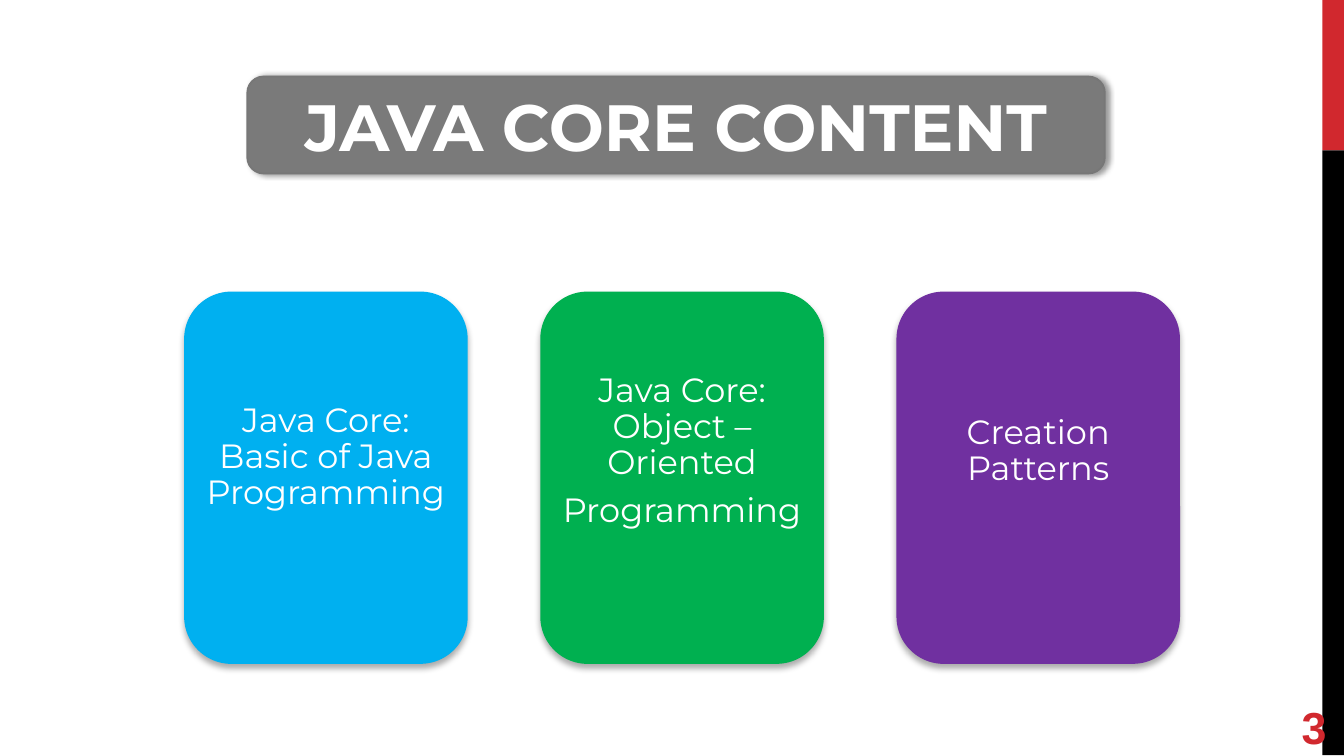
from lxml import etree
from pptx import Presentation
from pptx.dml.color import RGBColor
from pptx.enum.shapes import MSO_SHAPE
from pptx.enum.text import MSO_ANCHOR, PP_ALIGN
from pptx.oxml.ns import qn
from pptx.util import Inches, Pt

RECT, ROUNDED = MSO_SHAPE.RECTANGLE, MSO_SHAPE.ROUNDED_RECTANGLE
MIDDLE = MSO_ANCHOR.MIDDLE
CENTER, RIGHT = PP_ALIGN.CENTER, PP_ALIGN.RIGHT
RED, WHITE = "D1282E", "FFFFFF"


def color(value):
    return RGBColor.from_string(value)


def add_shadow(shape, opacity, blur, distance, angle):
    shape.shadow.inherit = False
    effects = shape._element.spPr.find(qn("a:effectLst"))
    outer = etree.SubElement(effects, qn("a:outerShdw"), blurRad=str(Pt(blur)),
                             dist=str(Pt(distance)), dir=str(angle * 60000),
                             algn="ctr", rotWithShape="0")
    black = etree.SubElement(outer, qn("a:srgbClr"), val="000000")
    etree.SubElement(black, qn("a:alpha"), val=str(opacity * 1000))


prs = Presentation()
prs.slide_width, prs.slide_height = Inches(10), Inches(10 * 9 / 16)
slide = prs.slides.add_slide(prs.slide_layouts[6])

# Side bars
for top, height, bar_color in [(0, 1.12, RED), (1.12, 4.5, "000000")]:
    bar = slide.shapes.add_shape(RECT, Inches(9.84), Inches(top), Inches(0.16), Inches(height))
    bar.shadow.inherit = False
    bar.fill.solid()
    bar.fill.fore_color.rgb = color(bar_color)
    bar.line.fill.background()

# Slide number
number = slide.shapes.add_textbox(Inches(9.27), Inches(5.19), Inches(0.6), Inches(0.43))
frame = number.text_frame
frame.word_wrap = True
frame.vertical_anchor = MIDDLE
for side in ("left", "top", "right", "bottom"):
    setattr(frame, f"margin_{side}", 0)
paragraph = frame.paragraphs[0]
paragraph.text = "3"
paragraph.alignment = RIGHT
for name, value in {"name": "Arial", "size": Pt(24), "bold": True}.items():
    setattr(paragraph.font, name, value)
paragraph.font.color.rgb = color(RED)

# Title banner
banner = slide.shapes.add_shape(ROUNDED, Inches(1.84), Inches(0.57), Inches(6.38), Inches(0.72))
banner.fill.solid()
banner.fill.fore_color.rgb = color("7A7A7A")
banner.line.color.rgb = color("777777")
banner.line.width = Pt(1)
add_shadow(banner, 40, 3.1, 1.8, 0)
banner.text_frame.vertical_anchor = MIDDLE
paragraph = banner.text_frame.paragraphs[0]
paragraph.text = "JAVA CORE CONTENT"
paragraph.alignment = CENTER
for name, value in {"name": "Montserrat", "size": Pt(35), "bold": True}.items():
    setattr(paragraph.font, name, value)
paragraph.font.color.rgb = color(WHITE)

# Topic cards: fill, paragraphs, bottom margin that lifts the text
CARD_LEFT, CARD_TOP, CARD_WIDTH, CARD_HEIGHT, CARD_STEP = 1.37, 2.17, 2.11, 2.77, 2.65
topics = [
    ("00B0F0", ["Java Core: Basic of Java Programming"], 0.34),
    ("00B050", ["Java Core: Object – Oriented", "Programming"], 0.43),
    ("7030A0", ["Creation Patterns"], 0.43),
]
for index, (card_color, lines, bottom_margin) in enumerate(topics):
    card = slide.shapes.add_shape(
        ROUNDED, Inches(CARD_LEFT + index * CARD_STEP), Inches(CARD_TOP),
        Inches(CARD_WIDTH), Inches(CARD_HEIGHT))
    card.fill.solid()
    card.fill.fore_color.rgb = color(card_color)
    card.line.fill.background()
    add_shadow(card, 32, 3.5, 2.2, 90)
    frame = card.text_frame
    frame.word_wrap = True
    frame.vertical_anchor = MIDDLE
    for side in ("left", "top", "right"):
        setattr(frame, f"margin_{side}", Inches(0.04))
    frame.margin_bottom = Inches(bottom_margin)
    frame.text = "\n".join(lines)
    for paragraph in frame.paragraphs:
        for name, value in {"alignment": CENTER, "line_spacing": 0.9,
                            "space_after": Pt(6.3)}.items():
            setattr(paragraph, name, value)
        paragraph.font.name = "Montserrat"
        paragraph.font.size = Pt(18)
        paragraph.font.color.rgb = color(WHITE)

prs.save("out.pptx")
